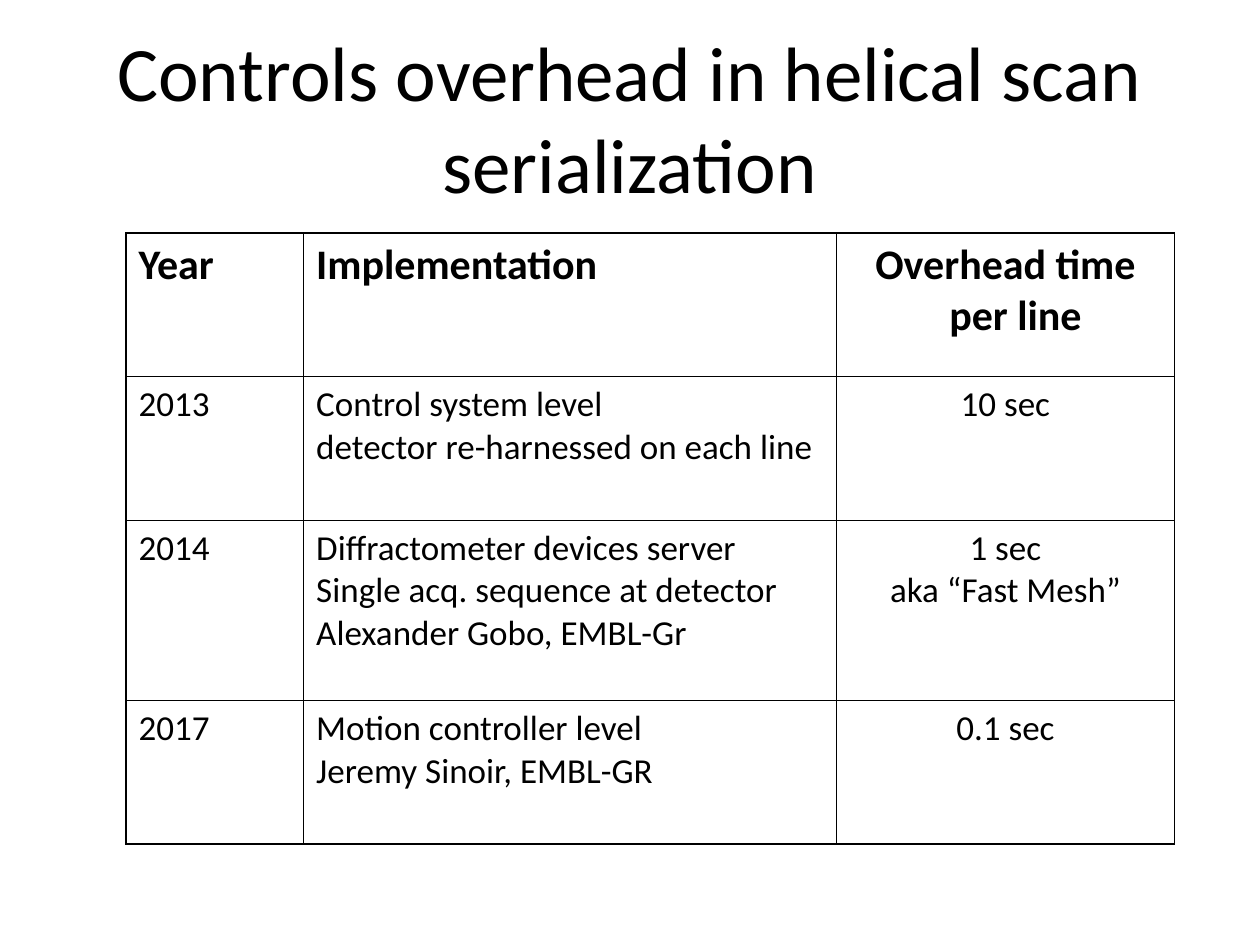
from lxml.etree import SubElement
from pptx import Presentation
from pptx.dml.color import RGBColor
from pptx.enum.text import MSO_ANCHOR, PP_ALIGN
from pptx.oxml.ns import qn
from pptx.util import Inches, Pt

WIDTH, HEIGHT = 10, 7.5
COLUMNS = [1.41, 4.23, 2.68]
ROWS = [1.14, 1.14, 1.43, 1.14]
CELLS = [
    ["Year", "Implementation", "Overhead time\nper line"],
    ["2013", "Control system level\ndetector re-harnessed on each line", "10 sec"],
    ["2014", "Diffractometer devices server\nSingle acq. sequence at detector\n"
             "Alexander Gobo, EMBL-Gr", "1 sec\naka “Fast Mesh”"],
    ["2017", "Motion controller level\nJeremy Sinoir, EMBL-GR", "0.1 sec"],
]


def color(value):
    return RGBColor.from_string(value)


class SlideBuilder:
    """Holds the style and the current slide, and adds elements to it."""

    ink = "000000"
    title = {"size": Pt(44), "bold": False, "name": "Calibri"}
    heading = {"size": Pt(24), "bold": True, "name": "Calibri"}
    body = {"size": Pt(20), "bold": False, "name": "Calibri"}

    def __init__(self, presentation):
        self.slide = presentation.slides.add_slide(presentation.slide_layouts[6])

    def box(self, left, top, width, height):
        return (Inches(left * WIDTH), Inches(top * HEIGHT),
                Inches(width * WIDTH), Inches(height * HEIGHT))

    def set_text(self, frame, text, style, alignment):
        frame.word_wrap = True
        frame.text = text
        for paragraph in frame.paragraphs:
            paragraph.alignment = alignment
            for run in paragraph.runs:
                run.font.color.rgb = color(self.ink)
                for name, value in style.items():
                    setattr(run.font, name, value)

    def add_title(self, text, *shares):
        frame = self.slide.shapes.add_textbox(*self.box(*shares)).text_frame
        frame.vertical_anchor = MSO_ANCHOR.MIDDLE
        self.set_text(frame, text, self.title, PP_ALIGN.CENTER)

    def add_borders(self, cell):
        properties = cell._tc.get_or_add_tcPr()
        for side in ("lnL", "lnR", "lnT", "lnB"):
            line = SubElement(properties, qn(f"a:{side}"), w=str(Pt(1)))
            fill = SubElement(line, qn("a:solidFill"))
            SubElement(fill, qn("a:srgbClr"), val=self.ink)

    def add_table(self, cells, columns, rows, left, top):
        place = self.box(left, top, sum(columns) / WIDTH, sum(rows) / HEIGHT)
        table = self.slide.shapes.add_table(len(rows), len(columns), *place).table
        table.first_row = table.horz_banding = False
        for column, width in zip(table.columns, columns):
            column.width = Inches(width)
        for index, (row, height) in enumerate(zip(table.rows, rows)):
            row.height = Inches(height)
            style = self.body if index else self.heading
            for position, (cell, text) in enumerate(zip(row.cells, cells[index])):
                last = position == len(columns) - 1
                alignment = PP_ALIGN.CENTER if last else PP_ALIGN.LEFT
                self.set_text(cell.text_frame, text, style, alignment)
                self.add_borders(cell)
                cell.fill.background()
        return table

    def indent(self, paragraph, inches):
        paragraph._p.get_or_add_pPr().set("marL", str(Inches(inches)))


def main():
    presentation = Presentation()
    presentation.slide_width = Inches(WIDTH)
    presentation.slide_height = Inches(HEIGHT)
    builder = SlideBuilder(presentation)
    builder.add_title("Controls overhead in helical scan serialization",
                      0.05, 0.04, 0.9, 1 / 6)
    table = builder.add_table(CELLS, COLUMNS, ROWS, 0.1, 1.85 / HEIGHT)
    builder.indent(table.cell(0, 2).text_frame.paragraphs[1], 0.16)
    presentation.save("out.pptx")


if __name__ == "__main__":
    main()
